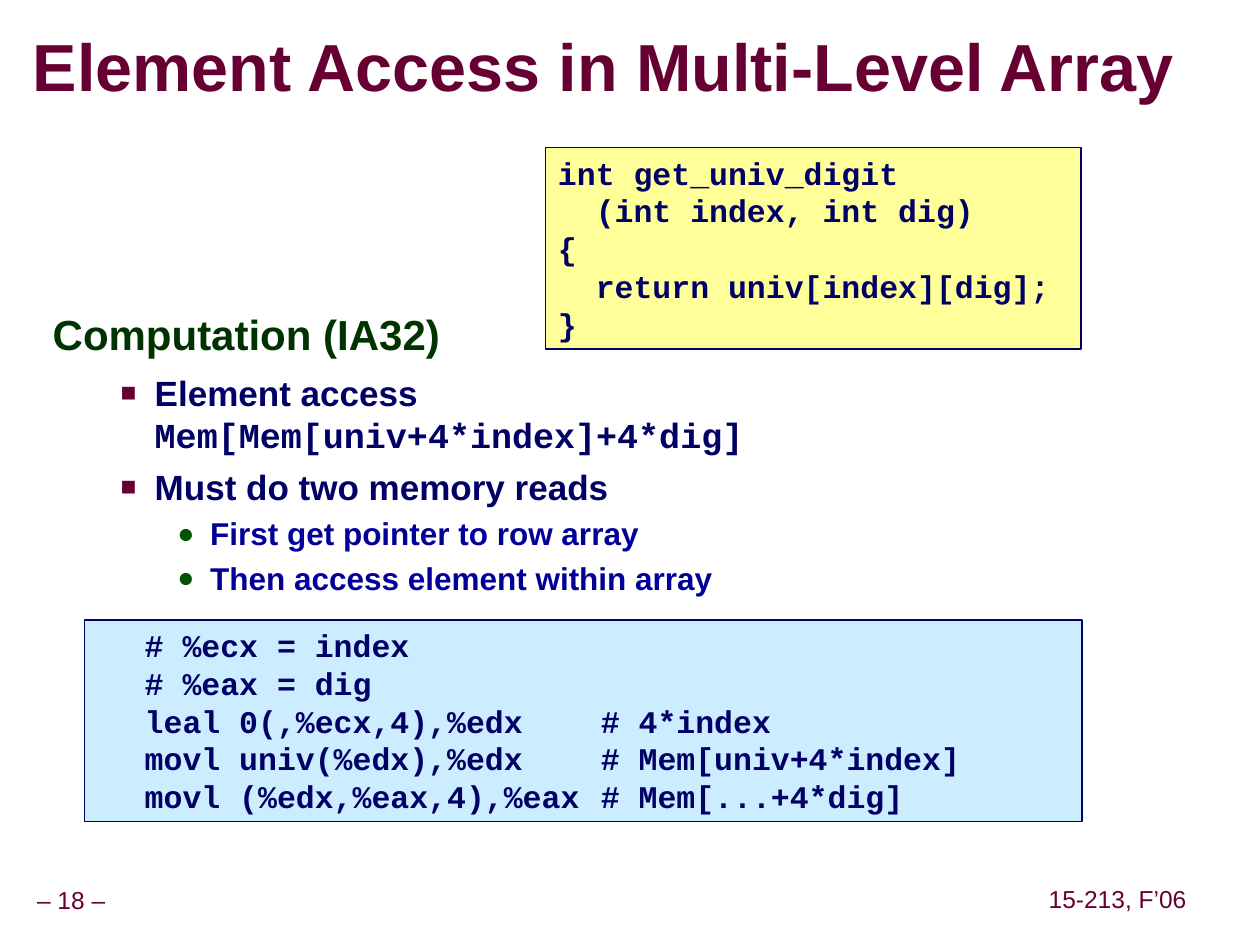
from dataclasses import dataclass

from lxml.etree import SubElement as Sub
from pptx import Presentation
from pptx.dml.color import RGBColor
from pptx.enum.shapes import MSO_SHAPE as Preset
from pptx.enum.text import MSO_ANCHOR as Anchor, PP_ALIGN as Align
from pptx.oxml.ns import qn
from pptx.util import Pt

PX = 9144


@dataclass(frozen=True)
class Theme:
    sans: str = "Arial"
    mono: str = "Courier New"
    maroon: str = "660033"
    heading: str = "003300"
    navy: str = "000066"
    detail: str = "000099"
    dot: str = "005400"
    shadow: str = "969696"
    yellow: str = "FFFF99"
    blue: str = "CCECFF"
    title_size: int = 38
    heading_size: int = 24
    point_size: int = 20
    code_size: int = 18
    footer_size: int = 14


THEME = Theme()


@dataclass(frozen=True)
class Level:
    size: int
    color: str
    margin: int
    hanging: int
    before: float
    spacing: float
    bullet: tuple = ()


LEVELS = (
    Level(THEME.heading_size, THEME.heading, 42, 42, 15, 0.95),
    Level(THEME.point_size, THEME.navy, 81, 27, 6.2, 1.0, ("■", THEME.maroon, 75)),
    Level(THEME.code_size, THEME.detail, 125, 26, 2.2, 1.07, ("●", THEME.dot, 90)),
)


def emu(box):
    return [length * PX for length in box]


def add_run(paragraph, words, size, color, font=THEME.sans, bold=True):
    run = paragraph.add_run()
    run.text = words
    run.font.size = Pt(size)
    run.font.bold = bold
    run.font.color.rgb = RGBColor.from_string(color)
    run.font.name = font
    return run


def set_frame(frame, insets, anchor=Anchor.TOP, wrap=True):
    frame.word_wrap = wrap
    frame.vertical_anchor = anchor
    frame.margin_left = frame.margin_right = insets[0] * PX
    frame.margin_top = frame.margin_bottom = insets[1] * PX
    return frame


def next_paragraph(frame, index):
    return frame.add_paragraph() if index else frame.paragraphs[0]


def add_title(slide, box, words):
    frame = set_frame(slide.shapes.add_textbox(*emu(box)).text_frame, (0, 0), Anchor.MIDDLE)
    heading = frame.paragraphs[0]
    heading.line_spacing = 0.87
    run = add_run(heading, words, THEME.title_size, THEME.maroon)
    effects = Sub(run.font._element, qn("a:effectLst"))
    shadow = Sub(effects, qn("a:outerShdw"), dist=str(4 * PX), dir="2700000")
    Sub(shadow, qn("a:srgbClr"), val=THEME.shadow)
    run.font._element.find(qn("a:solidFill")).addnext(effects)


def add_footer(slide, box, words):
    frame = set_frame(slide.shapes.add_textbox(*emu(box)).text_frame, (5, 5), Anchor.MIDDLE, False)
    label = frame.paragraphs[0]
    label.alignment = Align.CENTER
    label.line_spacing = 0.9
    add_run(label, words, THEME.footer_size, THEME.maroon, bold=False)


def add_outline(slide, box, entries):
    frame = set_frame(slide.shapes.add_textbox(*emu(box)).text_frame, (10, 5))
    for index, (depth, pieces) in enumerate(entries):
        level = LEVELS[depth]
        entry = next_paragraph(frame, index)
        entry.level = depth
        entry.line_spacing = level.spacing
        entry.space_before = Pt(level.before)
        props = entry._p.get_or_add_pPr()
        props.set("marL", str(level.margin * PX))
        props.set("indent", str(-level.hanging * PX))
        if level.bullet:
            mark, color, percent = level.bullet
            Sub(Sub(props, qn("a:buClr")), qn("a:srgbClr"), val=color)
            Sub(props, qn("a:buSzPct"), val=str(percent * 1000))
            Sub(props, qn("a:buFont"), typeface=THEME.sans)
            Sub(props, qn("a:buChar"), char=mark)
        for words, font in pieces:
            add_run(entry, words, level.size, level.color, font)


def add_code(slide, box, fill, lines, tabs=()):
    panel = slide.shapes.add_shape(Preset.RECTANGLE, *emu(box))
    panel.shadow.inherit = False
    panel.fill.solid()
    panel.fill.fore_color.rgb = RGBColor.from_string(fill)
    panel.line.color.rgb = RGBColor.from_string(THEME.navy)
    panel.line.width = Pt(1)
    frame = set_frame(panel.text_frame, (10, 5))
    for index, words in enumerate(lines):
        line = next_paragraph(frame, index)
        line.alignment = Align.LEFT
        if tabs:
            stops = Sub(line._p.get_or_add_pPr(), qn("a:tabLst"))
            for stop in tabs:
                Sub(stops, qn("a:tab"), pos=str(stop * PX), algn="l")
        add_run(line, words, THEME.code_size, THEME.navy, THEME.mono)


def main():
    deck = Presentation()
    deck.slide_width, deck.slide_height = emu((1000, 750))
    slide = deck.slides.add_slide(deck.slide_layouts[6])

    add_footer(slide, (-9, 700, 131, 31), "– 18 –")
    add_footer(slide, (827, 699, 120, 31), "15-213, F’06")
    add_title(slide, (26, 25, 974, 63), "Element Access in Multi-Level Array")
    add_outline(slide, (32, 243, 577, 357), (
        (0, [("Computation (IA32)", THEME.sans)]),
        (1, [("Element access ", THEME.sans), ("Mem[Mem[univ+4*index]+4*dig]", THEME.mono)]),
        (1, [("Must do two memory reads", THEME.sans)]),
        (2, [("First get pointer to row array", THEME.sans)]),
        (2, [("Then access element within array", THEME.sans)]),
    ))
    add_code(slide, (67, 492, 792, 160), THEME.blue, (
        "\t# %ecx = index",
        "\t# %eax = dig",
        "\tleal 0(,%ecx,4),%edx\t# 4*index",
        "\tmovl univ(%edx),%edx\t# Mem[univ+4*index]",
        "\tmovl (%edx,%eax,4),%eax\t# Mem[...+4*dig]",
    ), tabs=(38, 400))
    add_code(slide, (433, 117, 425, 160), THEME.yellow, (
        "int get_univ_digit",
        "  (int index, int dig)",
        "{",
        "  return univ[index][dig];",
        "}",
    ))
    deck.save("out.pptx")


if __name__ == "__main__":
    main()
